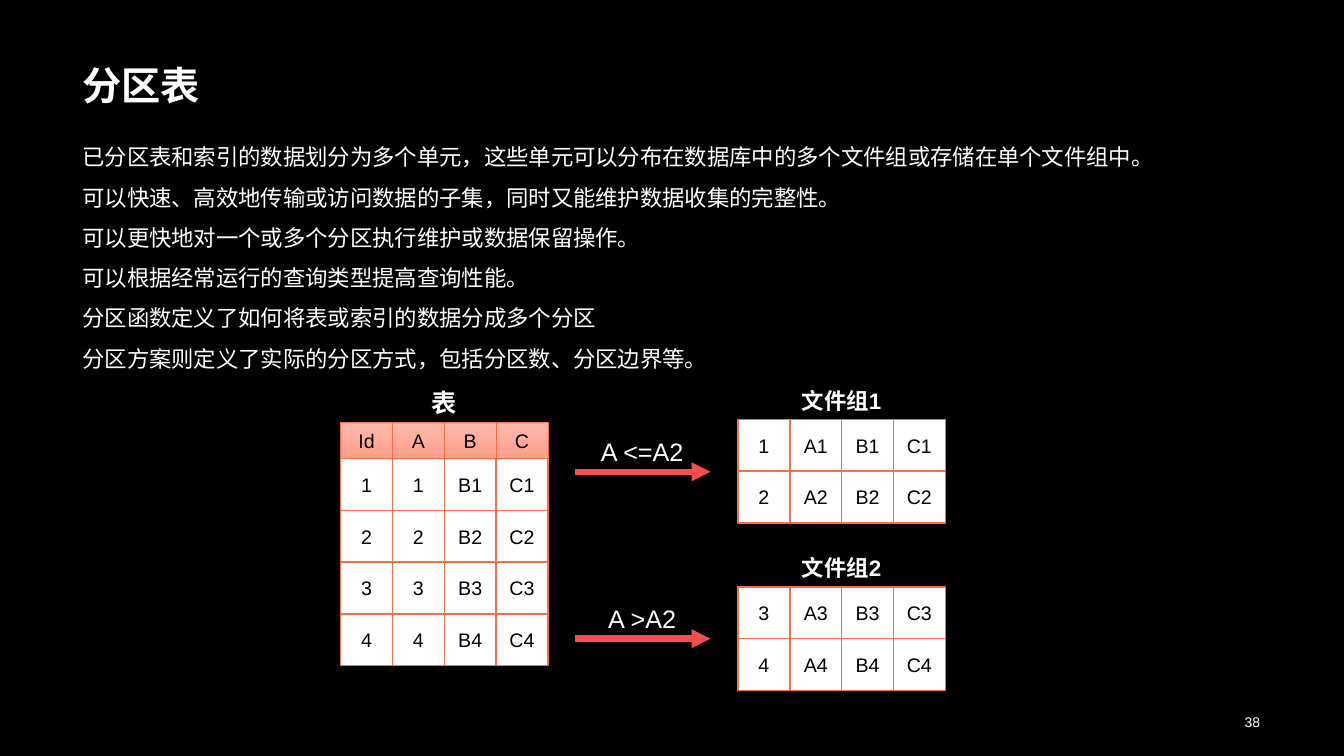
from dataclasses import dataclass
from typing import Optional

import pptx
import pptx.dml.color
import pptx.enum.dml
import pptx.enum.lang
import pptx.enum.shapes
import pptx.enum.text
import pptx.oxml
import pptx.oxml.ns
import pptx.util

Pt = pptx.util.Pt
Align = pptx.enum.text.PP_ALIGN
Anchor = pptx.enum.text.MSO_ANCHOR


@dataclass(frozen=True)
class Theme:
    font: str = "Arial"
    background: str = "000000"
    light_text: str = "FFFFFF"
    dark_text: str = "000000"
    cell_fill: str = "FFFFFF"
    cell_border: str = "FF6B42"
    header_top: str = "FFB9AC"
    header_bottom: str = "FF9E8B"
    arrow: str = "F84D4D"
    title_size: float = 28
    label_size: float = 18
    body_size: float = 16
    cell_size: float = 14
    number_size: float = 10


@dataclass(frozen=True)
class Grid:
    caption: str
    caption_size: float
    caption_height: float
    left: float
    caption_top: float
    rows_top: float
    rows: list[str]
    header: Optional[str] = None


@dataclass(frozen=True)
class Rule:
    text: str
    label_top: float
    arrow_y: float


THEME = Theme()
CELL = 37
HEADER_HEIGHT = 25.5
MARGIN, CONTENT_WIDTH = 51.8, 855.4
ARROW_LEFT, ARROW_RIGHT = 411, 507.5

BODY = [
    "已分区表和索引的数据划分为多个单元，这些单元可以分布在数据库中的多个文件组或存储在单个文件组中。",
    "可以快速、高效地传输或访问数据的子集，同时又能维护数据收集的完整性。",
    "可以更快地对一个或多个分区执行维护或数据保留操作。",
    "可以根据经常运行的查询类型提高查询性能。",
    "分区函数定义了如何将表或索引的数据分成多个分区",
    "分区方案则定义了实际的分区方式，包括分区数、分区边界等。",
]
GRIDS = [
    Grid("表", THEME.label_size, 29, 243.4, 272.9, 327.5,
         ["1 1 B1 C1", "2 2 B2 C2", "3 3 B3 C3", "4 4 B4 C4"], "Id A B C"),
    Grid("文件组1", THEME.body_size, 26.6, 527.2, 272.9, 299.5,
         ["1 A1 B1 C1", "2 A2 B2 C2"]),
    Grid("文件组2", THEME.body_size, 26.6, 527.2, 392.6, 419.2,
         ["3 A3 B3 C3", "4 A4 B4 C4"]),
]
RULES = [Rule("A <=A2", 308, 337), Rule("A >A2", 427.2, 456.2)]


def color(value: str) -> pptx.dml.color.RGBColor:
    return pptx.dml.color.RGBColor.from_string(value)


def write_text(shape, text: str, *, size: float, fill: str = THEME.light_text,
               bold: bool = False, align=Align.LEFT, anchor=Anchor.TOP,
               spacing: float = 1.0) -> None:
    """Fill a shape with text, one paragraph per line."""
    frame = shape.text_frame
    frame.word_wrap = True
    frame.vertical_anchor = anchor
    frame.text = text
    for paragraph in frame.paragraphs:
        paragraph.alignment = align
        paragraph.line_spacing = spacing
        for run in paragraph.runs:
            run.font.name = THEME.font
            run.font.size = Pt(size)
            run.font.bold = bold
            run.font.color.rgb = color(fill)
            run.font.language_id = pptx.enum.lang.MSO_LANGUAGE_ID.SIMPLIFIED_CHINESE


def add_text(shapes, text: str, left: float, top: float, width: float,
             height: float, **text_format) -> None:
    shape = shapes.add_textbox(Pt(left), Pt(top), Pt(width), Pt(height))
    write_text(shape, text, **text_format)
    shape.text_frame.auto_size = pptx.enum.text.MSO_AUTO_SIZE.SHAPE_TO_FIT_TEXT


def add_cells(shapes, texts: str, left: float, top: float, height: float,
              header: bool = False) -> None:
    """Draw one row of cells from space-separated texts."""
    for column, text in enumerate(texts.split()):
        cell = shapes.add_shape(pptx.enum.shapes.MSO_SHAPE.RECTANGLE,
                                Pt(left + column * CELL), Pt(top), Pt(CELL), Pt(height))
        cell.shadow.inherit = False
        if header:
            cell.fill.gradient()
            cell.fill.gradient_angle = 270
            stops = cell.fill.gradient_stops
            for stop, value in zip(stops, (THEME.header_top, THEME.header_bottom)):
                stop.color.rgb = color(value)
        else:
            cell.fill.solid()
            cell.fill.fore_color.rgb = color(THEME.cell_fill)
        cell.line.color.rgb = color(THEME.cell_border)
        cell.line.width = Pt(0.5 if header else 1)
        write_text(cell, text, size=THEME.cell_size, fill=THEME.dark_text,
                   align=Align.CENTER, anchor=Anchor.MIDDLE)


def add_grid(slide, grid: Grid) -> None:
    shapes = slide.shapes.add_group_shape().shapes
    if grid.header:
        add_cells(shapes, grid.header, grid.left, grid.rows_top - HEADER_HEIGHT,
                  HEADER_HEIGHT, header=True)
    for index, row in enumerate(grid.rows):
        add_cells(shapes, row, grid.left, grid.rows_top + index * CELL, CELL)
    add_text(shapes, grid.caption, grid.left, grid.caption_top, 4 * CELL,
             grid.caption_height, size=grid.caption_size, bold=True, align=Align.CENTER)


def add_rule(slide, rule: Rule) -> None:
    """Draw a partition condition above its arrow."""
    arrow = slide.shapes.add_connector(
        pptx.enum.shapes.MSO_CONNECTOR.STRAIGHT,
        Pt(ARROW_LEFT), Pt(rule.arrow_y), Pt(ARROW_RIGHT), Pt(rule.arrow_y))
    arrow.line.color.rgb = color(THEME.arrow)
    arrow.line.width = Pt(4.5)
    namespace = pptx.oxml.ns.nsdecls("a")
    arrow.line._get_or_add_ln().append(
        pptx.oxml.parse_xml(f'<a:tailEnd {namespace} type="triangle"/>'))
    arrow._element.spPr.append(pptx.oxml.parse_xml(f"<a:effectLst {namespace}/>"))
    add_text(slide.shapes, rule.text, ARROW_LEFT - 0.5, rule.label_top,
             ARROW_RIGHT - ARROW_LEFT, 29, size=THEME.label_size, align=Align.CENTER)


def main() -> None:
    presentation = pptx.Presentation()
    presentation.slide_width = Pt(960)
    presentation.slide_height = Pt(540)
    slide = presentation.slides.add_slide(presentation.slide_layouts[6])
    slide.background.fill.solid()
    slide.background.fill.fore_color.rgb = color(THEME.background)

    # Title, body and slide number
    add_text(slide.shapes, "分区表", MARGIN, 43.2, CONTENT_WIDTH, 38.2,
             size=THEME.title_size, bold=True, anchor=Anchor.BOTTOM, spacing=0.9)
    add_text(slide.shapes, "\n".join(BODY), MARGIN, 89.3, CONTENT_WIDTH, 178.6,
             size=THEME.body_size, spacing=1.5)
    add_text(slide.shapes, "38", 697.7, 506.2, 209.5, 19.4, size=THEME.number_size,
             align=Align.RIGHT, anchor=Anchor.MIDDLE)

    # Source table and its two file groups
    for grid in GRIDS:
        add_grid(slide, grid)

    # Partition conditions
    for rule in RULES:
        add_rule(slide, rule)

    presentation.save("out.pptx")


if __name__ == "__main__":
    main()
